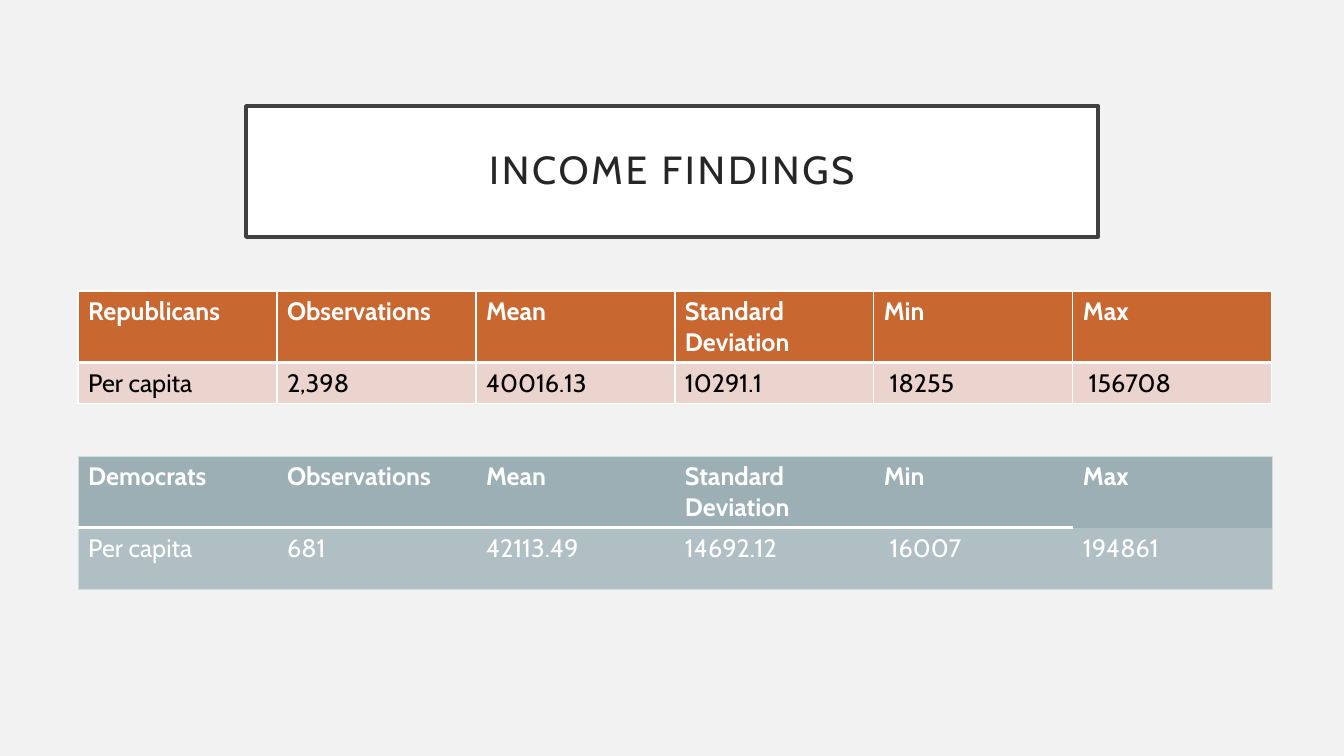
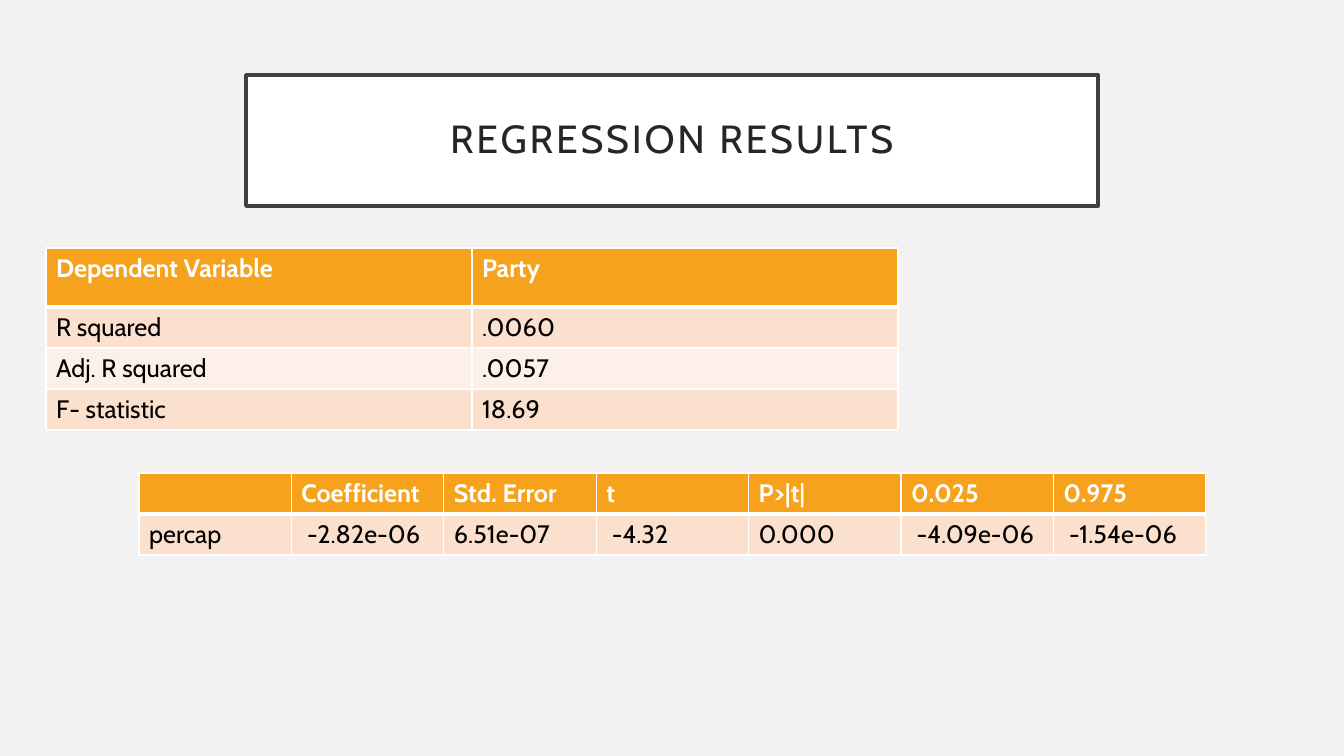
from dataclasses import dataclass
from lxml.etree import SubElement
from pptx import Presentation
from pptx.dml.color import RGBColor
from pptx.enum.text import MSO_ANCHOR, MSO_AUTO_SIZE, PP_ALIGN
from pptx.oxml.ns import qn
from pptx.util import Pt

PX = 914400 / 100.8
NO_STYLE = "{2D5ABB26-0587-4C30-8999-92F81FD0307C}"


@dataclass(frozen=True)
class Theme:
    font: str = "Cabin"
    title_size: int = 28
    table_size: int = 18
    background: str = "F2F2F2"
    white: str = "FFFFFF"
    black: str = "000000"
    title_text: str = "262626"
    title_line: str = "404040"
    frame: str = "D5DCDE"


THEME = Theme()

PALETTES = {
    "rust": {"header": "C96731", "bands": ["EBD3CE"], "text": THEME.black, "grid": True},
    "slate": {"header": "9BAFB5", "bands": ["AFBFC4"], "text": THEME.white, "grid": False},
    "amber": {"header": "F6A21D", "bands": ["FBE0CD", "FDF0E8"], "text": THEME.black, "grid": True},
}

SLIDES = [
    {
        "title": "INCOME FINDINGS",
        "top": 106,
        "tables": [
            {
                "palette": "rust",
                "box": (78, 291, 1194),
                "heights": [71, 41],
                "rows": [
                    ["Republicans", "Observations", "Mean", "Standard Deviation", "Min", "Max"],
                    ["Per capita", "2,398", "40016.13", "10291.1", " 18255", " 156708"],
                ],
            },
            {
                "palette": "slate",
                "box": (78, 456, 1194),
                "heights": [71, 62],
                "rows": [
                    ["Democrats", "Observations", "Mean", "Standard Deviation", "Min", "Max"],
                    ["Per capita", "681", "42113.49", "14692.12", " 16007", "194861"],
                ],
            },
        ],
    },
    {
        "title": "REGRESSION RESULTS",
        "top": 75,
        "tables": [
            {
                "palette": "amber",
                "box": (46, 248, 852),
                "heights": [59, 41, 41, 41],
                "rows": [
                    ["Dependent Variable", "Party"],
                    ["R squared", ".0060"],
                    ["Adj. R squared", ".0057"],
                    ["F- statistic", "18.69"],
                ],
            },
            {
                "palette": "amber",
                "box": (139, 473, 1067),
                "heights": [41, 41],
                "rows": [
                    ["", "Coefficient", "Std. Error", "t", "P>|t|", "0.025", "0.975"],
                    ["percap", " -2.82e-06", "6.51e-07", " -4.32", "0.000", " -4.09e-06", " -1.54e-06"],
                ],
            },
        ],
    },
]


def px(length):
    return round(length * PX)


def set_borders(cell, borders):
    properties = cell._tc.get_or_add_tcPr()
    for side in "LRTB":
        color, width = borders.get(side, (None, 0))
        line = SubElement(properties, qn(f"a:ln{side}"), w=str(Pt(width)))
        if color:
            fill = SubElement(line, qn("a:solidFill"))
            SubElement(fill, qn("a:srgbClr"), val=color)
        else:
            SubElement(line, qn("a:noFill"))


presentation = Presentation()
presentation.slide_width = px(1344)
presentation.slide_height = px(756)
background = presentation.slide_master.background.fill
background.solid()
background.fore_color.rgb = RGBColor.from_string(THEME.background)

title_frame_format = {
    "word_wrap": True,
    "auto_size": MSO_AUTO_SIZE.NONE,
    "vertical_anchor": MSO_ANCHOR.MIDDLE,
    "margin_left": px(20),
    "margin_right": px(20),
    "margin_top": px(20),
    "margin_bottom": px(20),
}
title_font_format = {"name": THEME.font, "size": Pt(THEME.title_size), "bold": False}

for content in SLIDES:
    slide = presentation.slides.add_slide(presentation.slide_layouts[5])

    title = slide.shapes.title
    title.left, title.top, title.width, title.height = map(px, (246, content["top"], 852, 131))
    title.fill.solid()
    title.fill.fore_color.rgb = RGBColor.from_string(THEME.white)
    title.line.color.rgb = RGBColor.from_string(THEME.title_line)
    title.line.width = Pt(2.5)
    for name, value in title_frame_format.items():
        setattr(title.text_frame, name, value)
    paragraph = title.text_frame.paragraphs[0]
    paragraph.alignment = PP_ALIGN.CENTER
    paragraph.line_spacing = 0.9
    run = paragraph.add_run()
    run.text = content["title"]
    for name, value in title_font_format.items():
        setattr(run.font, name, value)
    run.font.color.rgb = RGBColor.from_string(THEME.title_text)
    run._r.get_or_add_rPr().set("spc", "200")

    for table_content in content["tables"]:
        palette = PALETTES[table_content["palette"]]
        rows, heights = table_content["rows"], table_content["heights"]
        last_row, last_column = len(rows) - 1, len(rows[0]) - 1
        box = map(px, (*table_content["box"], sum(heights)))
        table = slide.shapes.add_table(len(rows), len(rows[0]), *box).table
        table.first_row = table.horz_banding = False
        table._tbl.tblPr.find(qn("a:tableStyleId")).text = NO_STYLE

        for row_index, (texts, height) in enumerate(zip(rows, heights)):
            table.rows[row_index].height = px(height)
            is_header = row_index == 0
            bands = palette["bands"]
            fill_color = palette["header"] if is_header else bands[(row_index - 1) % len(bands)]
            text_color = THEME.white if is_header else palette["text"]

            for column_index, text in enumerate(texts):
                cell = table.cell(row_index, column_index)
                if palette["grid"]:
                    borders = dict.fromkeys("LRTB", (THEME.white, 1))
                    divider = (THEME.white, 3)
                else:
                    edges = {
                        "L": column_index == 0,
                        "R": column_index == last_column,
                        "T": is_header,
                        "B": row_index == last_row,
                    }
                    borders = {side: (THEME.frame, 0.5) for side, outer in edges.items() if outer}
                    divider = (THEME.white, 2.5) if column_index < last_column else (None, 0)
                if row_index < 2:
                    borders["B" if is_header else "T"] = divider
                set_borders(cell, borders)
                cell.fill.solid()
                cell.fill.fore_color.rgb = RGBColor.from_string(fill_color)

                paragraph = cell.text_frame.paragraphs[0]
                font = paragraph.font
                if text:
                    run = paragraph.add_run()
                    run.text = text
                    font = run.font
                font_format = {"name": THEME.font, "size": Pt(THEME.table_size), "bold": is_header}
                for name, value in font_format.items():
                    setattr(font, name, value)
                font.color.rgb = RGBColor.from_string(text_color)

presentation.save("out.pptx")
